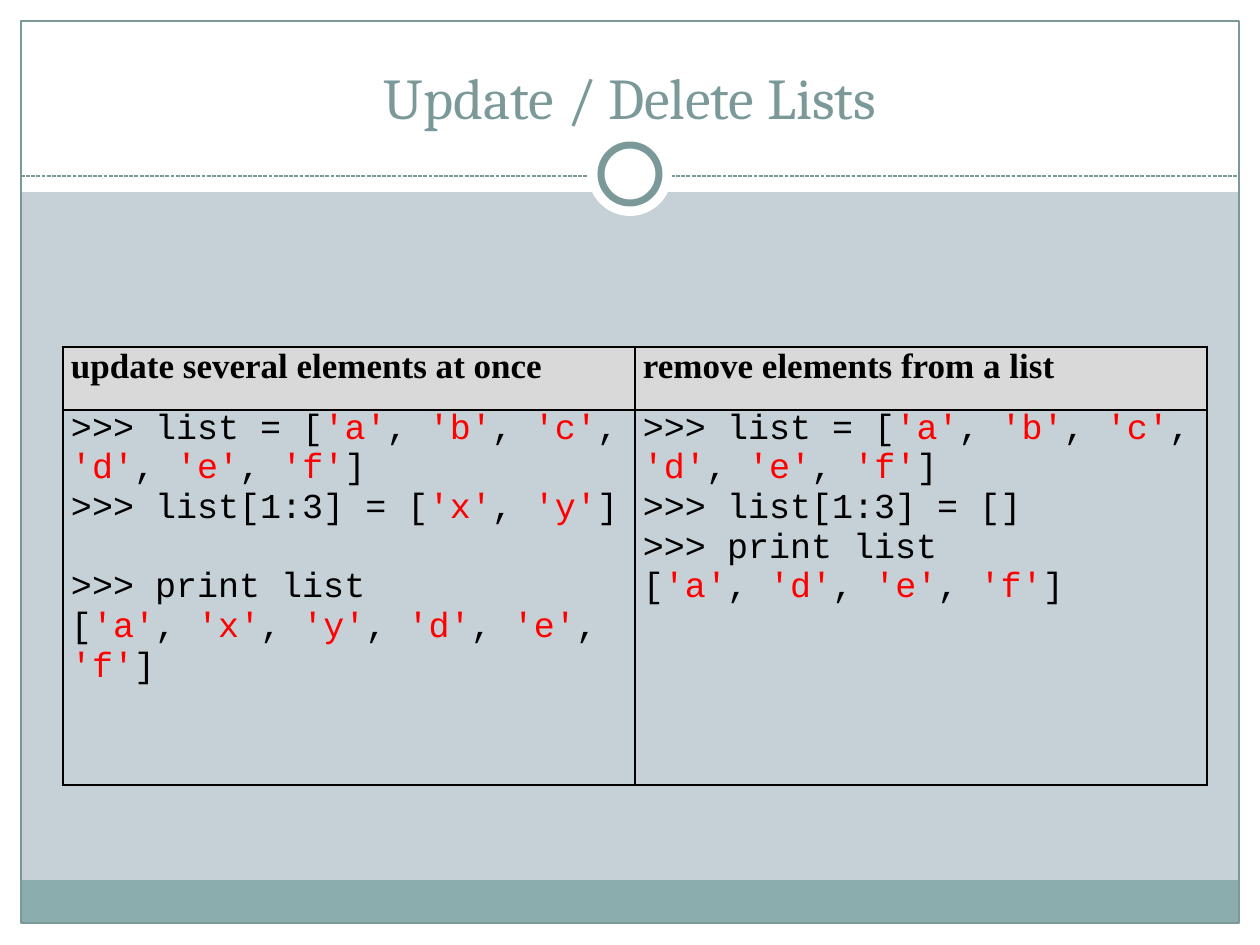
import pptx
import pptx.dml.color
import pptx.enum.dml
import pptx.enum.shapes
import pptx.enum.text
import pptx.oxml
import pptx.oxml.ns
import pptx.util

PX = 914400 / 126
SLIDE_W, SLIDE_H = 1260, 945
MARGIN = 21
HEADER_H = 192

COLORS = {
    "background": "C5D1D7",
    "white": "FFFFFF",
    "accent": "7C999A",
    "footer": "8CADAE",
    "heading": "D9D9D9",
    "text": "000000",
    "string": "FF0000",
}

EXAMPLES = {
    "update several elements at once": [
        ">>> list = ['a', 'b', 'c', 'd', 'e', 'f'] ",
        ">>> list[1:3] = ['x', 'y'] ",
        ">>> print list ",
        "['a', 'x', 'y', 'd', 'e', 'f']",
    ],
    "remove elements from a list": [
        ">>> list = ['a', 'b', 'c', 'd', 'e', 'f'] ",
        ">>> list[1:3] = [] ",
        ">>> print list ",
        "['a', 'd', 'e', 'f']",
    ],
}


def emu(*lengths):
    return [round(length * PX) for length in lengths]


def rgb(name):
    return pptx.dml.color.RGBColor.from_string(COLORS[name])


def set_font(font, name, size, color, bold=False):
    font.name = name
    font.size = pptx.util.Pt(size)
    font.bold = bold
    font.color.rgb = rgb(color)


def add_panel(slide, kind, box, fill=None, line=None, width=0.75):
    panel = slide.shapes.add_shape(kind, *emu(*box))
    panel.shadow.inherit = False
    if fill:
        panel.fill.solid()
        panel.fill.fore_color.rgb = rgb(fill)
    else:
        panel.fill.background()
    if line:
        panel.line.color.rgb = rgb(line)
        panel.line.width = pptx.util.Pt(width)
    else:
        panel.line.fill.background()


def add_frame(slide, box):
    left, top, width, height = box
    right, bottom = left + width, top + height
    rectangle = pptx.enum.shapes.MSO_SHAPE.RECTANGLE
    for band in (
        (0, bottom, SLIDE_W, SLIDE_H - bottom),
        (0, 0, SLIDE_W, HEADER_H),
        (0, 0, left, SLIDE_H),
        (right, 0, SLIDE_W - right, SLIDE_H),
    ):
        add_panel(slide, rectangle, band, "white")
    footer_h = 43
    add_panel(slide, rectangle, (left, bottom - footer_h, width, footer_h), "footer")
    add_panel(slide, rectangle, box, line="accent")


def add_divider(slide, box):
    left, top, width, height = box
    rule_y = top + 44
    rule = slide.shapes.add_connector(
        pptx.enum.shapes.MSO_CONNECTOR.STRAIGHT,
        *emu(left, rule_y, left + width, rule_y),
    )
    rule.line.color.rgb = rgb("accent")
    rule.line.width = pptx.util.Pt(0.75)
    rule.line.dash_style = pptx.enum.dml.MSO_LINE.SQUARE_DOT
    pptx.oxml.ns.qn("a:effectLst")
    rule._element.spPr.append(pptx.oxml.parse_xml(
        f'<a:effectLst {pptx.oxml.ns.nsdecls("a")}/>'))
    oval = pptx.enum.shapes.MSO_SHAPE.OVAL
    center_x, center_y = left + width // 2, top + height // 2
    for size, line in ((height, None), (58, "accent")):
        circle = (center_x - size // 2, center_y - size // 2, size, size)
        add_panel(slide, oval, circle, "white", line, 4)


def place_title(slide, box, text):
    title = slide.shapes.title
    title.left, title.top, title.width, title.height = emu(*box)
    title.text_frame.text = text
    title.text_frame.vertical_anchor = pptx.enum.text.MSO_ANCHOR.BOTTOM
    heading = title.text_frame.paragraphs[0]
    heading.alignment = pptx.enum.text.PP_ALIGN.CENTER
    set_font(heading.font, "Cambria", 33, "accent")
    slide.shapes._spTree.append(title._element)


def style_cell(cell, fill=None):
    properties = cell._tc.get_or_add_tcPr()
    for side in ("lnL", "lnR", "lnT", "lnB"):
        properties.append(pptx.oxml.parse_xml(
            f'<a:{side} {pptx.oxml.ns.nsdecls("a")} w="12700"><a:solidFill>'
            f'<a:srgbClr val="{COLORS["text"]}"/></a:solidFill></a:{side}>'))
    cell.margin_left, cell.margin_top, cell.margin_right, cell.margin_bottom = emu(8, 0, 8, 0)
    if fill:
        cell.fill.solid()
        cell.fill.fore_color.rgb = rgb(fill)
    else:
        cell.fill.background()


def write_code(paragraph, lines):
    set_font(paragraph.font, "Courier New", 20, "text")
    for number, line in enumerate(lines):
        if number:
            paragraph.add_line_break()
        for index, part in enumerate(line.split("'")):
            is_string = index % 2 == 1
            run = paragraph.add_run()
            run.text = f"'{part}'" if is_string else part
            set_font(run.font, "Courier New", 20, "string" if is_string else "text")


def add_examples(slide, box, examples):
    left, top, width, height = box
    heading_h = 63
    table = slide.shapes.add_table(2, len(examples), *emu(*box)).table
    table.first_row = False
    table.horz_banding = False
    table.rows[0].height, table.rows[1].height = emu(heading_h, height - heading_h)
    for column, (heading, lines) in enumerate(examples.items()):
        table.columns[column].width = emu(width // len(examples))[0]
        heading_cell, code_cell = table.cell(0, column), table.cell(1, column)
        style_cell(heading_cell, "heading")
        style_cell(code_cell)
        heading_cell.text = heading
        set_font(heading_cell.text_frame.paragraphs[0].font,
                 "Times New Roman", 20, "text", True)
        write_code(code_cell.text_frame.paragraphs[0], lines)


def main():
    deck = pptx.Presentation()
    deck.slide_width, deck.slide_height = emu(SLIDE_W, SLIDE_H)
    slide = deck.slides.add_slide(deck.slide_layouts[5])
    slide.background.fill.solid()
    slide.background.fill.fore_color.rgb = rgb("background")
    inner_w = SLIDE_W - 2 * MARGIN
    add_frame(slide, (MARGIN, MARGIN, inner_w, 902))
    add_divider(slide, (MARGIN, 132, inner_w, 84))
    place_title(slide, (42, 32, 1176, 105), "Update / Delete Lists")
    add_examples(slide, (63, 347, 1144, 438), EXAMPLES)
    deck.save("out.pptx")


if __name__ == "__main__":
    main()
